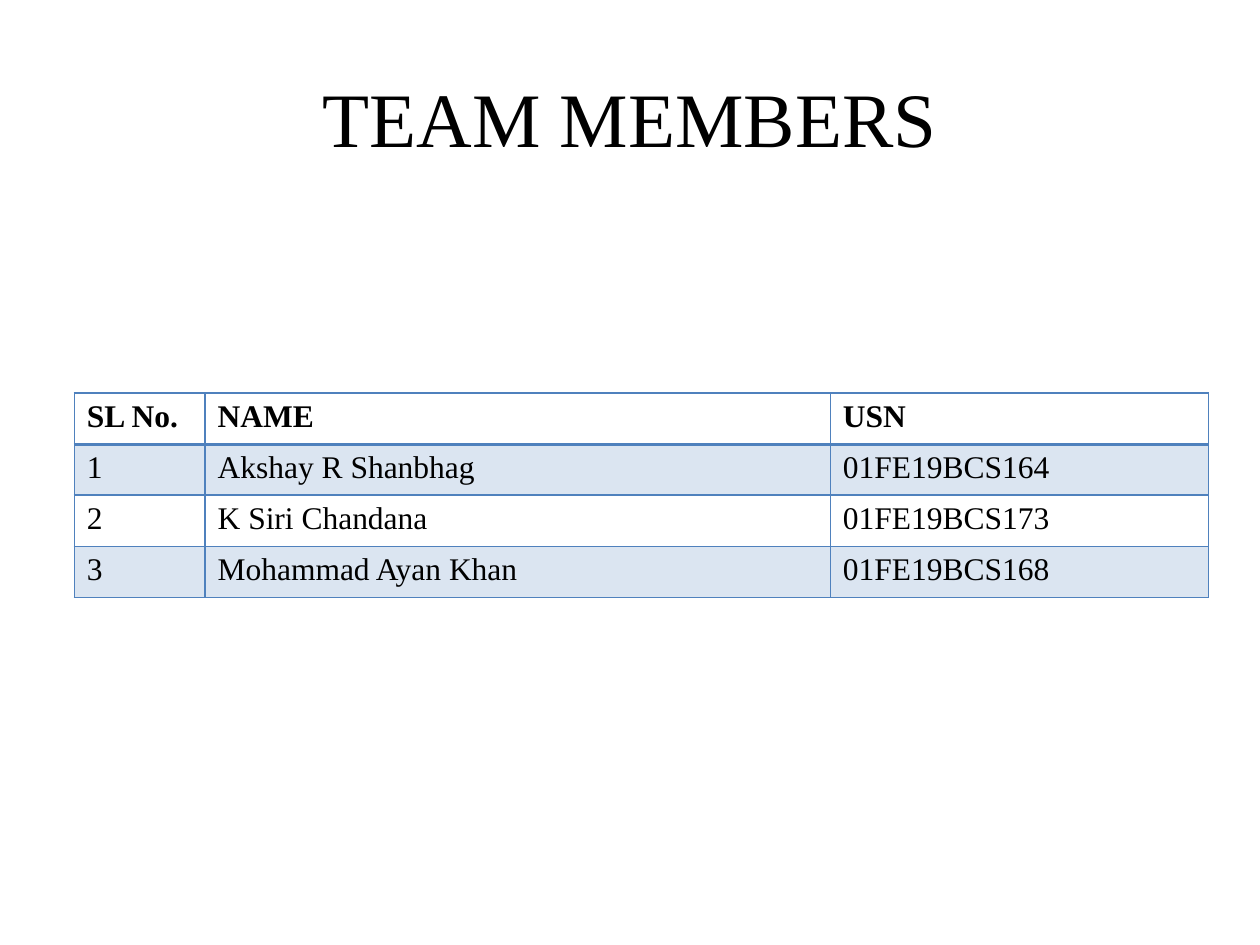
import pptx
import pptx.util
import pptx.dml.color
import pptx.enum.text
import pptx.oxml.ns
import lxml.etree

Pt = pptx.util.Pt
RGB = pptx.dml.color.RGBColor.from_string

theme = {
    "font": "Times New Roman",
    "text": "000000",
    "accent": "4F81BD",
    "band_alpha": 20,
    "title_size": 44,
    "table_size": 18,
}


def add_run(paragraph, text, size, bold=False):
    run = paragraph.add_run()
    run.text = text
    run.font.name = theme["font"]
    run.font.size = Pt(size)
    run.font.bold = bold
    run.font.color.rgb = RGB(theme["text"])


def add_child(parent, tag, **attributes):
    return lxml.etree.SubElement(parent, pptx.oxml.ns.qn(tag), attributes)


presentation = pptx.Presentation()
presentation.slide_width = Pt(720)
presentation.slide_height = Pt(540)
slide = presentation.slides.add_slide(presentation.slide_layouts[6])

# Title
title = slide.shapes.add_textbox(Pt(36), Pt(21.6), Pt(648), Pt(90)).text_frame
title.word_wrap = True
title.vertical_anchor = pptx.enum.text.MSO_ANCHOR.MIDDLE
title.paragraphs[0].alignment = pptx.enum.text.PP_ALIGN.CENTER
add_run(title.paragraphs[0], "TEAM MEMBERS", theme["title_size"])

# Team table
members = [
    ("SL No.", "NAME", "USN"),
    ("1", "Akshay R Shanbhag", "01FE19BCS164"),
    ("2", "K Siri Chandana", "01FE19BCS173"),
    ("3", "Mohammad Ayan Khan", "01FE19BCS168"),
]
column_widths = [74.7, 357.3, 216]
row_height = 29.2
team = slide.shapes.add_table(
    len(members), len(column_widths), Pt(42.5), Pt(224.6),
    Pt(sum(column_widths)), Pt(row_height * len(members))).table
team.horz_banding = False
for column, width in zip(team.columns, column_widths):
    column.width = Pt(width)

for row_index, member in enumerate(members):
    team.rows[row_index].height = Pt(row_height)
    is_header = row_index == 0
    for column_index, entry in enumerate(member):
        cell = team.cell(row_index, column_index)
        add_run(cell.text_frame.paragraphs[0], entry, theme["table_size"], is_header)

        # Borders, with a heavier rule under the header
        properties = cell._tc.get_or_add_tcPr()
        for side in "LRTB":
            heavy = (row_index, side) in [(0, "B"), (1, "T")]
            border = add_child(properties, f"a:ln{side}", w=str(Pt(2 if heavy else 1)))
            add_child(add_child(border, "a:solidFill"), "a:srgbClr", val=theme["accent"])

        # Tint on odd member rows
        if row_index % 2:
            cell.fill.solid()
            cell.fill.fore_color.rgb = RGB(theme["accent"])
            tint = properties.find(pptx.oxml.ns.qn("a:solidFill"))[0]
            add_child(tint, "a:alpha", val=str(theme["band_alpha"] * 1000))
        else:
            cell.fill.background()

presentation.save("out.pptx")
